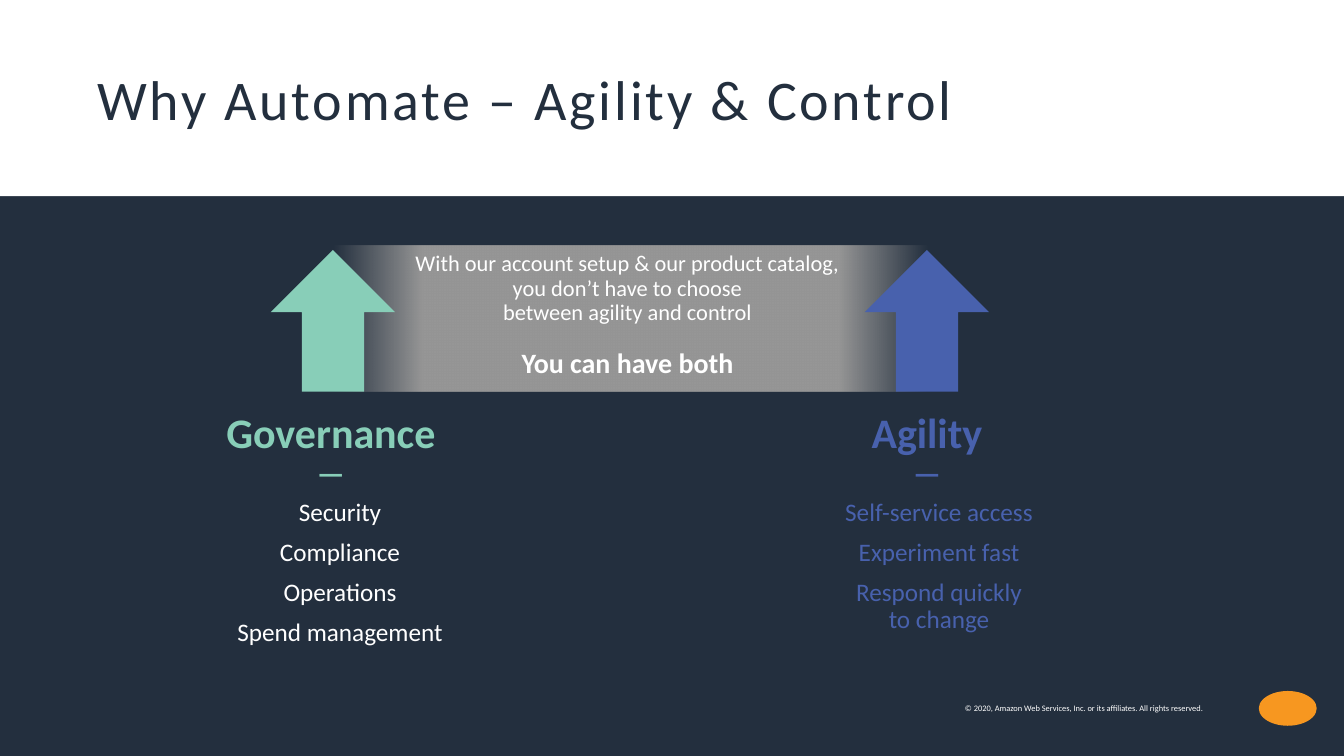
from dataclasses import dataclass

from pptx import Presentation
from pptx.dml.color import RGBColor
from pptx.enum.shapes import MSO_SHAPE
from pptx.enum.text import MSO_ANCHOR, MSO_AUTO_SIZE, PP_ALIGN
from pptx.oxml import parse_xml
from pptx.oxml.ns import nsdecls
from pptx.slide import Slide
from pptx.util import Inches, Pt

WIDTH, HEIGHT = 26.67, 15
NAVY, WHITE, GREY, ORANGE = "232F3E", "FFFFFF", "969696", "F79720"
MINT, BLUE = "88CEB8", "4861AD"


@dataclass(frozen=True)
class Area:
    """A rectangle in percent of the slide's width and height."""
    left: float
    top: float
    width: float
    height: float

    def emu(self) -> tuple:
        return (Inches(self.left * WIDTH / 100), Inches(self.top * HEIGHT / 100),
                Inches(self.width * WIDTH / 100), Inches(self.height * HEIGHT / 100))


@dataclass(frozen=True)
class Line:
    """One paragraph with its look; spacing is in points."""
    text: str
    size: float
    color: str = WHITE
    bold: bool = False
    align: PP_ALIGN = PP_ALIGN.CENTER
    leading: float = 0.9
    before: float = 0
    after: float = 0


@dataclass(frozen=True)
class Benefit:
    """An arrow, heading and list, each placed by its centre."""
    name: str
    color: str
    list_color: str
    arrow_center: float
    heading_center: float
    list_center: float
    items: tuple


BENEFITS = (
    Benefit("Governance", MINT, WHITE, 24.77, 24.62, 25.3,
            ("Security", "Compliance", "Operations", "Spend management")),
    Benefit("Agility", BLUE, BLUE, 68.97, 68.97, 69.87,
            ("Self-service access", "Experiment fast", "Respond quickly\vto change")),
)


def rgb(color: str) -> RGBColor:
    """Turn a hex string into a colour."""
    return RGBColor.from_string(color)


def centered(center: float, top: float, width: float, height: float) -> Area:
    """Return an area placed around a horizontal centre."""
    return Area(center - width / 2, top, width, height)


def place(shape, area: Area) -> None:
    """Move and size a shape to an area."""
    shape.left, shape.top, shape.width, shape.height = area.emu()


def write(shape, lines: list, inset: tuple = (0.2, 0.16),
          anchor: MSO_ANCHOR = MSO_ANCHOR.TOP) -> None:
    """Fill a shape's text frame with formatted, unbulleted lines."""
    frame = shape.text_frame
    frame.word_wrap = True
    frame.auto_size = MSO_AUTO_SIZE.NONE
    frame.vertical_anchor = anchor
    frame.margin_left = frame.margin_right = Inches(inset[0])
    frame.margin_top = frame.margin_bottom = Inches(inset[1])
    for index, line in enumerate(lines):
        paragraph = frame.add_paragraph() if index else frame.paragraphs[0]
        paragraph.text = line.text
        paragraph.alignment = line.align
        paragraph.line_spacing = line.leading
        paragraph.space_before, paragraph.space_after = Pt(line.before), Pt(line.after)
        properties = paragraph._p.get_or_add_pPr()
        properties.set("marL", "0")
        properties.set("indent", "0")
        properties.append(parse_xml(f"<a:buNone {nsdecls('a')}/>"))
        font = paragraph.font
        font.name, font.size, font.bold = "Calibri", Pt(line.size), line.bold
        font.color.rgb = rgb(line.color)


def add_text(slide: Slide, area: Area, lines: list, **options) -> None:
    """Add a text box."""
    write(slide.shapes.add_textbox(*area.emu()), lines, **options)


def add_block(slide: Slide, kind: MSO_SHAPE, area: Area, color: str):
    """Add a flat shape without outline."""
    block = slide.shapes.add_shape(kind, *area.emu())
    block.shadow.inherit = False
    block.fill.solid()
    block.fill.fore_color.rgb = rgb(color)
    block.line.fill.background()
    return block


def fade_sides(block, color: str) -> None:
    """Let a block's fill fade out at its left and right ends."""
    stops = "".join(
        f'<a:gs pos="{share * 1000}"><a:srgbClr val="{color}">'
        f'<a:alpha val="{alpha * 1000}"/></a:srgbClr></a:gs>'
        for share, alpha in ((0, 0), (15, 100), (85, 100), (100, 0)))
    gradient = parse_xml(f'<a:gradFill {nsdecls("a")} rotWithShape="1"><a:gsLst>{stops}'
                         '</a:gsLst><a:lin ang="0" scaled="0"/></a:gradFill>')
    properties = block._element.spPr
    properties.replace(properties.solidFill, gradient)


def add_title(slide: Slide, text: str) -> None:
    """Set the letterspaced title on a white band."""
    band = add_block(slide, MSO_SHAPE.RECTANGLE, Area(0, 0, 100, 25.93), WHITE)
    slide.shapes._spTree.insert(2, band._element)
    title = slide.shapes.title
    place(title, Area(7.24, 3.27, 85.53, 19.33))
    write(title, [Line(text, 80, NAVY, align=PP_ALIGN.LEFT, leading=1.0)],
          inset=(0, 0), anchor=MSO_ANCHOR.MIDDLE)
    title.text_frame.paragraphs[0].font._element.set("spc", "400")


def add_banner(slide: Slide) -> None:
    """Add the message between the two arrows."""
    backdrop = add_block(slide, MSO_SHAPE.RECTANGLE, Area(24.78, 32.47, 44.21, 19.33), GREY)
    fade_sides(backdrop, GREY)
    message = ("With our account setup & our product catalog,",
               "you don’t have to choose", "between agility and control")
    add_text(slide, Area(25.65, 32.27, 42.07, 19.13),
             [Line(text, 32) for text in message]
             + [Line("You can have both", 40, bold=True, before=35)],
             anchor=MSO_ANCHOR.MIDDLE)


def add_benefit(slide: Slide, benefit: Benefit, body) -> None:
    """Add an arrow with its heading and list."""
    add_block(slide, MSO_SHAPE.UP_ARROW,
              centered(benefit.arrow_center, 33.07, 9.26, 18.73), benefit.color)
    add_text(slide, centered(benefit.heading_center, 53.47, 21.33, 12.67),
             [Line(benefit.name, 60, benefit.color, bold=True),
              Line("—", 44, benefit.color, bold=True)])
    place(body, centered(benefit.list_center, 65.07, 20, 21.73))
    write(body, [Line(item, 36, benefit.list_color, after=18) for item in benefit.items])


def main() -> None:
    """Build and save the slide."""
    deck = Presentation()
    deck.slide_width, deck.slide_height = Inches(WIDTH), Inches(HEIGHT)
    slide = deck.slides.add_slide(deck.slide_layouts.get_by_name("Two Content"))
    slide.background.fill.solid()
    slide.background.fill.fore_color.rgb = rgb(NAVY)
    add_title(slide, "Why Automate – Agility & Control")
    add_banner(slide)
    for benefit, body in zip(BENEFITS, list(slide.placeholders)[1:]):
        add_benefit(slide, benefit, body)
    add_text(slide, Area(40.57, 93, 48.97, 1.33),
             [Line("© 2020, Amazon Web Services, Inc. or its affiliates. All rights reserved.",
                   12, align=PP_ALIGN.RIGHT, leading=1.0)], inset=(0, 0))
    add_block(slide, MSO_SHAPE.OVAL, Area(93.66, 91.4, 4.31, 4.6), ORANGE)
    deck.save("out.pptx")


if __name__ == "__main__":
    main()
